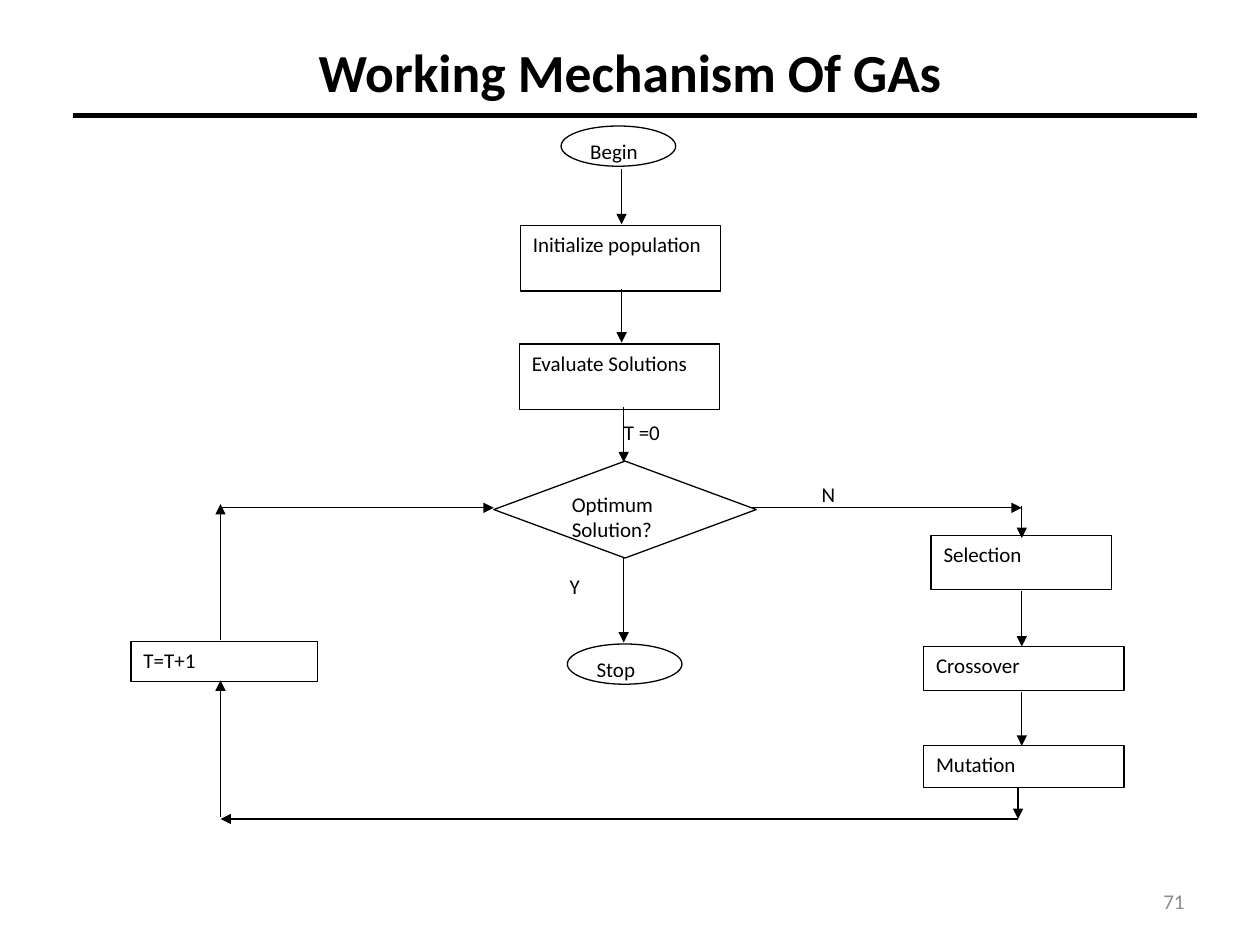
from lxml.etree import SubElement
from pptx import Presentation
from pptx.dml.color import RGBColor
from pptx.enum.shapes import MSO_CONNECTOR, MSO_SHAPE as Shape
from pptx.enum.text import MSO_ANCHOR as Anchor, PP_ALIGN as Align
from pptx.oxml.ns import qn
from pptx.util import Pt

COLOURS = {"ink": "000000", "paper": "FFFFFF", "number": "8C8C8C"}
STEP_WIDTH = 114.5
TERMINAL = (65.5, 23)


def colour(name):
    """Return the named colour."""
    return RGBColor.from_string(COLOURS[name])


def write(shape, text, size=12, ink="ink", bold=False, align=Align.LEFT, anchor=Anchor.TOP):
    """Write formatted text into a shape."""
    frame = shape.text_frame
    frame.word_wrap = True
    frame.vertical_anchor = anchor
    para = frame.paragraphs[0]
    para.alignment = align
    span = para.add_run()
    span.text = text
    font = span.font
    font.name, font.size, font.bold = "Calibri", Pt(size), bold
    font.color.rgb = colour(ink)


def label(page, left, top, text, width=54, height=21.6, **style):
    """Add a text box."""
    box = page.shapes.add_textbox(Pt(left), Pt(top), Pt(width), Pt(height))
    write(box, text, **style)


def node(page, kind, left, top, width, height, text):
    """Add an outlined flowchart node."""
    box = page.shapes.add_shape(kind, Pt(left), Pt(top), Pt(width), Pt(height))
    box.shadow.inherit = False
    box.fill.solid()
    box.fill.fore_color.rgb = colour("paper")
    box.line.color.rgb = colour("ink")
    box.line.width = Pt(0.75)
    write(box, text)


def line(page, start_x, start_y, end_x, end_y, weight=0.75, arrow=True):
    """Add a straight line, with an arrowhead at its end if asked."""
    link = page.shapes.add_connector(
        MSO_CONNECTOR.STRAIGHT, Pt(start_x), Pt(start_y), Pt(end_x), Pt(end_y))
    link.line.color.rgb = colour("ink")
    link.line.width = Pt(weight)
    if arrow:
        SubElement(link.line._get_or_add_ln(), qn("a:tailEnd"), type="triangle")
    SubElement(link._element.spPr, qn("a:effectLst"))


def heading(page, left, top, width, height):
    """Place the title and the rule below it."""
    title = page.shapes.title
    title.left, title.top, title.width, title.height = map(Pt, (left, top, width, height))
    write(title, "Working Mechanism Of GAs", size=30.6, bold=True,
          align=Align.CENTER, anchor=Anchor.MIDDLE)
    line(page, left + 6, top + 44.6, left + width, top + 44.6, weight=3, arrow=False)


def main_flow(page, left, top):
    """Draw the central column from Begin to Stop."""
    for kind, x, y, size, text in (
            (Shape.FLOWCHART_CONNECTOR, 38.4, 0, TERMINAL, "Begin"),
            (Shape.FLOWCHART_PROCESS, 15.2, 56.9, (STEP_WIDTH, 37.4), "Initialize population"),
            (Shape.FLOWCHART_PROCESS, 14.6, 124.6, (STEP_WIDTH, 37.4), "Evaluate Solutions"),
            (Shape.FLOWCHART_DECISION, 0, 191.5, (150, 55.4), "Optimum Solution?"),
            (Shape.FLOWCHART_CONNECTOR, 42, 296, TERMINAL, "Stop")):
        node(page, kind, left + x, top + y, *size, text)
    for x, start, end in ((73, 24.5, 56.2), (73, 92.9, 123.8),
                          (74.2, 160.6, 192.2), (74.2, 247, 295.2)):
        line(page, left + x, top + start, left + x, top + end)
    for x, y, text in ((67.2, 164.2, "T =0"), (36.2, 252, "Y"), (180.2, 199.4, "N")):
        label(page, left + x, top + y, text)


def breeding(page, left, top):
    """Draw the genetic operators on the right."""
    for x, y, width, height, text in (
            (4.3, 0, 103, 31, "Selection"),
            (0, 63.4, STEP_WIDTH, 25.2, "Crossover"),
            (0, 120.2, STEP_WIDTH, 23.8, "Mutation")):
        node(page, Shape.FLOWCHART_PROCESS, left + x, top + y, width, height, text)
    for x, start, end in ((56.1, -16.6, 1.4), (56.1, 31.7, 63.4),
                          (56.1, 89.3, 120.2), (54, 144, 162)):
        line(page, left + x, top + start, left + x, top + end)
    line(page, left - 99.4, top - 15.8, left + 56.1, top - 15.8)


def feedback(page, left, top):
    """Draw the generation counter and the return path."""
    node(page, Shape.FLOWCHART_PROCESS, left, top + 78.5, 106.6, 23, "T=T+1")
    for start_x, start_y, end_x, end_y in (
            (507, 180, 51.1, 180), (51.1, 178.6, 51.1, 100.8),
            (51.1, 77.8, 51.1, 0), (51.1, 2.2, 207.3, 2.2)):
        line(page, left + start_x, top + start_y, left + end_x, top + end_y)


def build():
    """Build and save the slide."""
    deck = Presentation()
    deck.slide_width, deck.slide_height = Pt(720), Pt(540)
    page = deck.slides.add_slide(deck.slide_layouts[5])
    heading(page, 36, 21.6, 648, 38.2)
    main_flow(page, 282.2, 72)
    breeding(page, 527.8, 306)
    feedback(page, 74.9, 288)
    label(page, 516, 500.5, "71", width=168, height=28.8, ink="number",
          align=Align.RIGHT, anchor=Anchor.MIDDLE)
    deck.save("out.pptx")


build()
